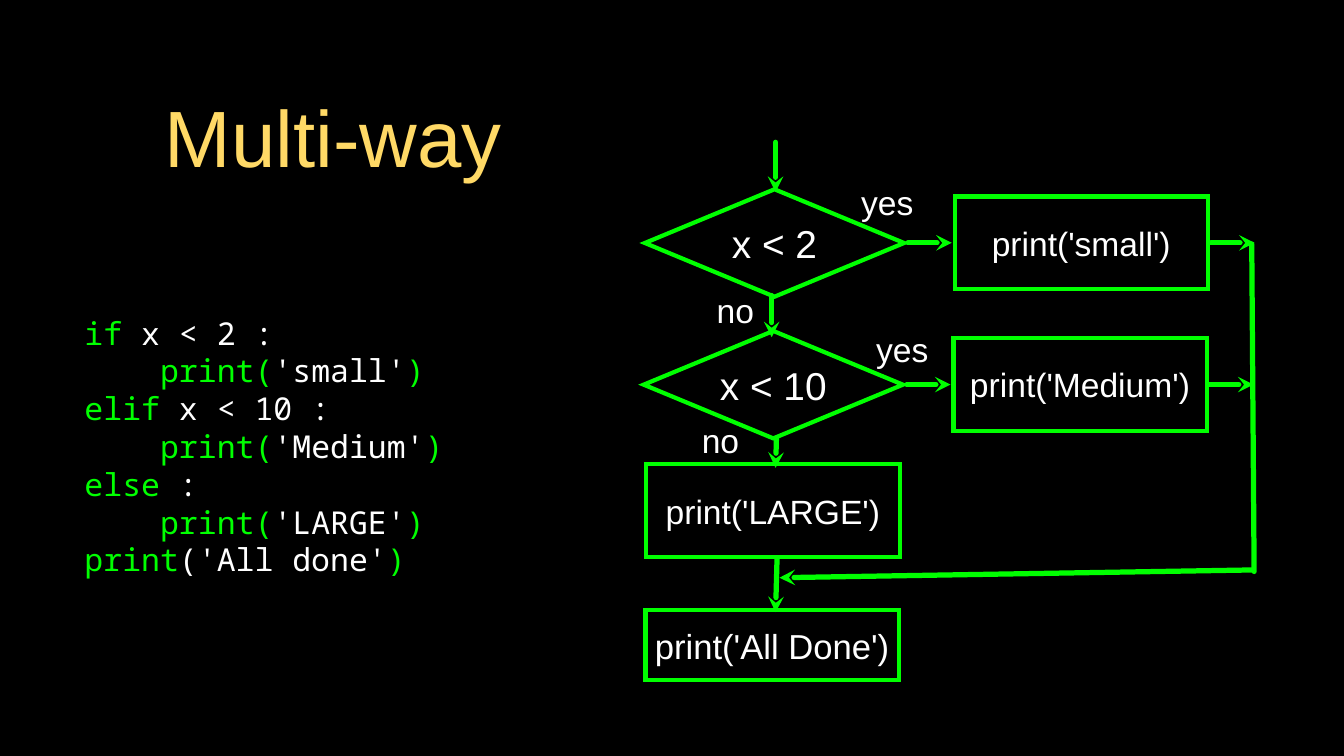
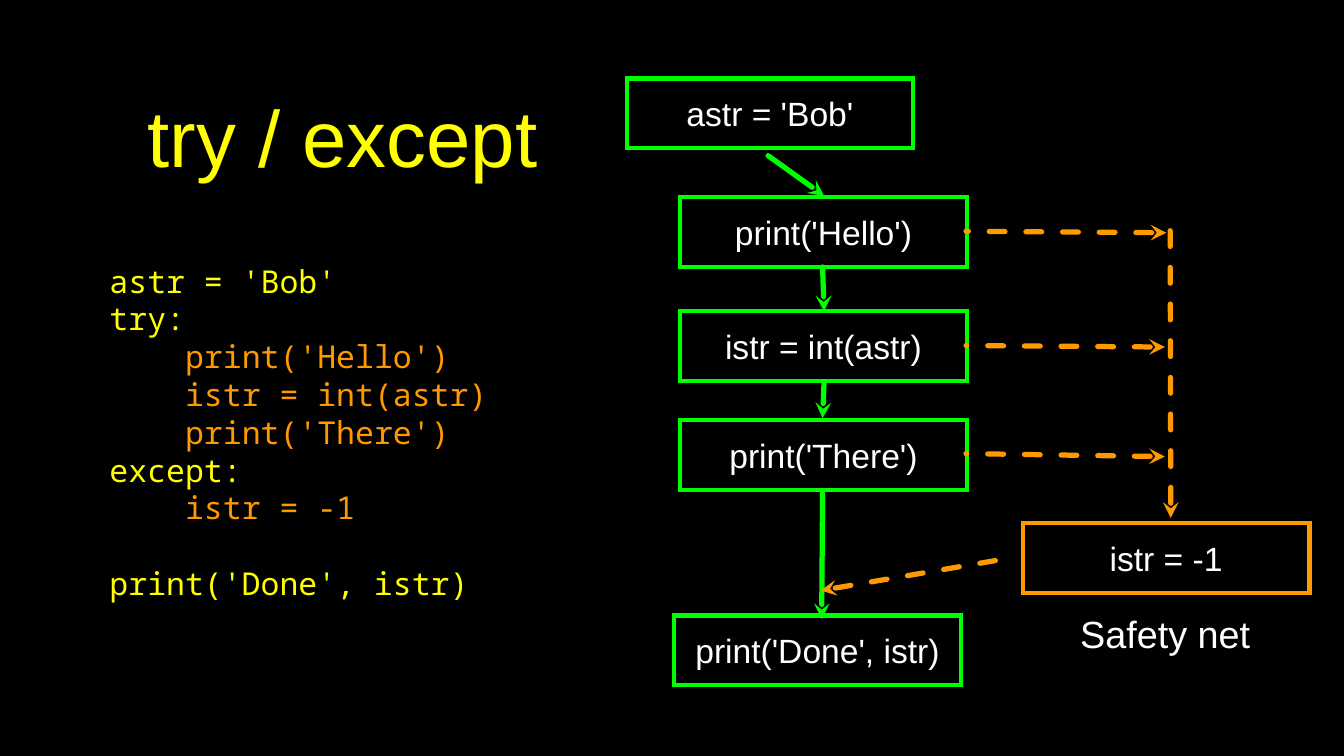
from dataclasses import dataclass

import pptx
import pptx.dml.color
import pptx.enum.dml
import pptx.enum.shapes
import pptx.enum.text
import pptx.oxml.ns
import pptx.util
from lxml import etree

Cm, Pt = pptx.util.Cm, pptx.util.Pt
RGB = pptx.dml.color.RGBColor
Kind = pptx.enum.shapes.MSO_SHAPE
Align = pptx.enum.text.PP_ALIGN

# Shared colours and fonts
BLACK = RGB(0x00, 0x00, 0x00)
WHITE = RGB(0xFF, 0xFF, 0xFF)
GREEN = RGB(0x00, 0xFF, 0x00)
GOLD = RGB(0xFF, 0xD9, 0x66)
YELLOW = RGB(0xFF, 0xFF, 0x00)
ORANGE = RGB(0xFF, 0x99, 0x00)
SANS, MONO = "Arial", "Noto Sans Mono"
PITCH = Pt(36)  # height of a code line
INDENT = Pt(72)  # four code letters


@dataclass
class Line:
    """A line of text made of (text, colour) runs."""
    runs: list
    indent: bool = False
    gap: bool = False


@dataclass
class Node:
    """An outlined shape of the flow chart; lengths in cm."""
    text: str
    left: float
    top: float
    width: float
    height: float
    size: float = 32
    color: RGB = GREEN
    kind: Kind = Kind.RECTANGLE


@dataclass
class Label:
    """Free text beside the chart; lengths in cm."""
    text: str
    left: float
    top: float
    width: float
    height: float = 1.37
    size: float = 32


@dataclass
class Arrow:
    """A line that points at its tip; points in cm."""
    tip: tuple
    tail: tuple
    color: RGB = GREEN
    dashed: bool = False
    head: bool = True


def add(parent, tag: str, **attrs):
    """Append a drawing element to parent."""
    return etree.SubElement(parent, pptx.oxml.ns.qn("a:" + tag), attrs)


def write(shape, lines: list, *, font: str = SANS, size: float = 32,
          align=Align.CENTER, inset: float = 0, pitch=None) -> None:
    """Fill the text frame of a shape with formatted lines."""
    frame = shape.text_frame
    frame.word_wrap = True
    frame.auto_size = pptx.enum.text.MSO_AUTO_SIZE.NONE
    frame.vertical_anchor = pptx.enum.text.MSO_ANCHOR.MIDDLE
    frame.margin_left = frame.margin_right = Cm(inset)
    frame.margin_top = frame.margin_bottom = Cm(inset)
    for i, line in enumerate(lines):
        para = frame.add_paragraph() if i else frame.paragraphs[0]
        para.alignment = align
        if pitch:
            para.line_spacing = pitch
        if line.gap:
            para.space_before = PITCH
        if line.indent:
            para._p.get_or_add_pPr().set("marL", str(INDENT))
        for text, color in line.runs:
            run = para.add_run()
            run.text = text
            run.font.name = font
            run.font.size = Pt(size)
            run.font.color.rgb = color


def draw_node(slide, node: Node) -> None:
    shape = slide.shapes.add_shape(node.kind, Cm(node.left), Cm(node.top),
                                   Cm(node.width), Cm(node.height))
    shape.shadow.inherit = False
    shape.fill.background()
    shape.line.color.rgb = node.color
    shape.line.width = Pt(4)
    add(shape.line._get_or_add_ln(), "miter", lim="800000")
    write(shape, [Line([(node.text, WHITE)])], size=node.size)


def draw_label(slide, label: Label) -> None:
    box = slide.shapes.add_textbox(Cm(label.left), Cm(label.top),
                                   Cm(label.width), Cm(label.height))
    write(box, [Line([(label.text, WHITE)])], size=label.size)


def draw_arrow(slide, arrow: Arrow) -> None:
    ends = [Cm(n) for n in (*arrow.tip, *arrow.tail)]
    link = slide.shapes.add_connector(
        pptx.enum.shapes.MSO_CONNECTOR.STRAIGHT, *ends)
    link.line.color.rgb = arrow.color
    link.line.width = Pt(5)
    if arrow.dashed:
        link.line.dash_style = pptx.enum.dml.MSO_LINE.DASH
    ln = link.line._get_or_add_ln()
    ln.set("cap", "rnd")
    add(ln, "round")
    if arrow.head:
        add(ln, "headEnd", type="stealth")
    add(link._element.spPr, "effectLst")


def draw_code(slide, lines: list, left: float, top: float,
              width: float, height: float) -> None:
    box = slide.shapes.add_textbox(Cm(left), Cm(top), Cm(width), Cm(height))
    write(box, lines, font=MONO, size=30, align=Align.LEFT, pitch=PITCH)


def new_slide(deck, title: str, color: RGB, width: float):
    """Add a slide and set its title."""
    slide = deck.slides.add_slide(deck.slide_layouts[5])
    head = slide.shapes.title
    head.left, head.top = Cm(3.2), Cm(2.08)
    head.width, head.height = Cm(width), Cm(4.98)
    write(head, [Line([(title, color)])], size=76, inset=0.1)
    return slide


def draw_chart(slide, nodes: list, arrows: list, labels: list) -> None:
    for node in nodes:
        draw_node(slide, node)
    for arrow in arrows:
        draw_arrow(slide, arrow)
    for label in labels:
        draw_label(slide, label)


def call(text: str) -> Line:
    """An indented print call with a white string."""
    return Line([("print(", GREEN), (text, WHITE), (")", GREEN)], indent=True)


def multi_way(deck) -> None:
    slide = new_slide(deck, "Multi-way", GOLD, 16)
    draw_code(slide, [
        Line([("if ", GREEN), ("x < 2 :", WHITE)]),
        call("'small'"),
        Line([("elif", GREEN), (" x < 10 :", WHITE)]),
        call("'Medium'"),
        Line([("else", GREEN), (" :", WHITE)]),
        call("'LARGE'"),
        Line([("print", GREEN), ("('All done'", WHITE), (")", GREEN)]),
    ], 2.84, 9.42, 14.17, 11.13)

    wide, high = 8.51, 3.12
    nodes = [
        Node("print('LARGE')", 21.72, 15.6, wide, high),
        Node("print('All Done')", 21.69, 20.5, wide, 2.36, size=33),
    ]
    arrows = [
        Arrow((26.06, 6.45), (26.06, 4.78)),
        Arrow((25.93, 11.33), (25.93, 9.93)),
        Arrow((26.06, 15.72), (26.09, 14.71)),
        Arrow((26.06, 20.57), (26.11, 18.75)),
        # Way back from the right
        Arrow((42.14, 19.2), (42.06, 8.2), head=False),
        Arrow((26.19, 19.41), (42.09, 19.15)),
    ]
    # One row for each test: diamond, yes arrow, box, way out
    for test, text, mid, shift in (("x < 2", "print('small')", 8.16, 0),
                                   ("x < 10", "print('Medium')", 12.92, -0.04)):
        nodes += [
            Node(test, 21.67 + shift, mid - 1.8, 8.71, 3.61, size=37,
                 kind=Kind.DIAMOND),
            Node(text, 32.08 + shift, mid - high / 2, wide, high),
        ]
        arrows += [Arrow((x + shift, mid), (x + shift - 1.47, mid))
                   for x in (31.98, 42.16)]
    draw_chart(slide, nodes, arrows, [
        Label("yes", 28.85, 6.12, 1.93),
        Label("no", 24.05, 9.73, 1.32),
        Label("yes", 29.24, 11.05, 2.16),
        Label("no", 23.55, 14.1, 1.32),
    ])


def try_except(deck) -> None:
    slide = new_slide(deck, "try / except", YELLOW, 16.61)
    draw_code(slide, [
        Line([("astr = 'Bob'", YELLOW)]),
        Line([("try:", YELLOW)]),
        Line([("print('Hello')", ORANGE)], indent=True),
        Line([("istr = int(astr)", ORANGE)], indent=True),
        Line([("print('There')", ORANGE)], indent=True),
        Line([("except:", YELLOW)]),
        Line([("istr = -1", ORANGE)], indent=True),
        Line([("print('Done', istr)", YELLOW)], gap=True),
    ], 3.68, 7.9, 14.38, 13.21)

    nodes = [Node(text, left, top, 9.63, 2.34, color=color)
             for text, left, top, color in (
                 ("astr = 'Bob'", 21.06, 2.64, GREEN),
                 ("print('Hello')", 22.86, 6.63, GREEN),
                 ("istr = int(astr)", 22.86, 10.46, GREEN),
                 ("print('There')", 22.86, 14.12, GREEN),
                 ("print('Done', istr)", 22.66, 20.68, GREEN),
                 ("istr = -1", 34.37, 17.58, ORANGE))]
    # Normal flow, then the way through the safety net
    arrows = [Arrow(tip, tail) for tip, tail in (
        ((27.69, 6.58), (25.81, 5.23)),
        ((27.69, 10.46), (27.64, 8.97)),
        ((27.64, 14.05), (27.69, 12.83)),
        ((27.61, 20.8), (27.64, 16.51)))]
    arrows += [Arrow(tip, tail, ORANGE, dashed=True) for tip, tail in (
        ((39.19, 7.82), (32.46, 7.77)),
        ((39.14, 11.66), (32.46, 11.61)),
        ((39.14, 15.34), (32.46, 15.24)),
        ((39.34, 17.4), (39.32, 7.65)),
        ((27.58, 19.84), (34.11, 18.72)))]
    draw_chart(slide, nodes, arrows,
               [Label("Safety net", 35.89, 20.4, 6.53, 1.73, size=36)])


def main() -> None:
    deck = pptx.Presentation()
    deck.slide_width, deck.slide_height = Cm(45.16), Cm(25.4)
    back = deck.slide_master.background.fill
    back.solid()
    back.fore_color.rgb = BLACK
    multi_way(deck)
    try_except(deck)
    deck.save("out.pptx")


main()
